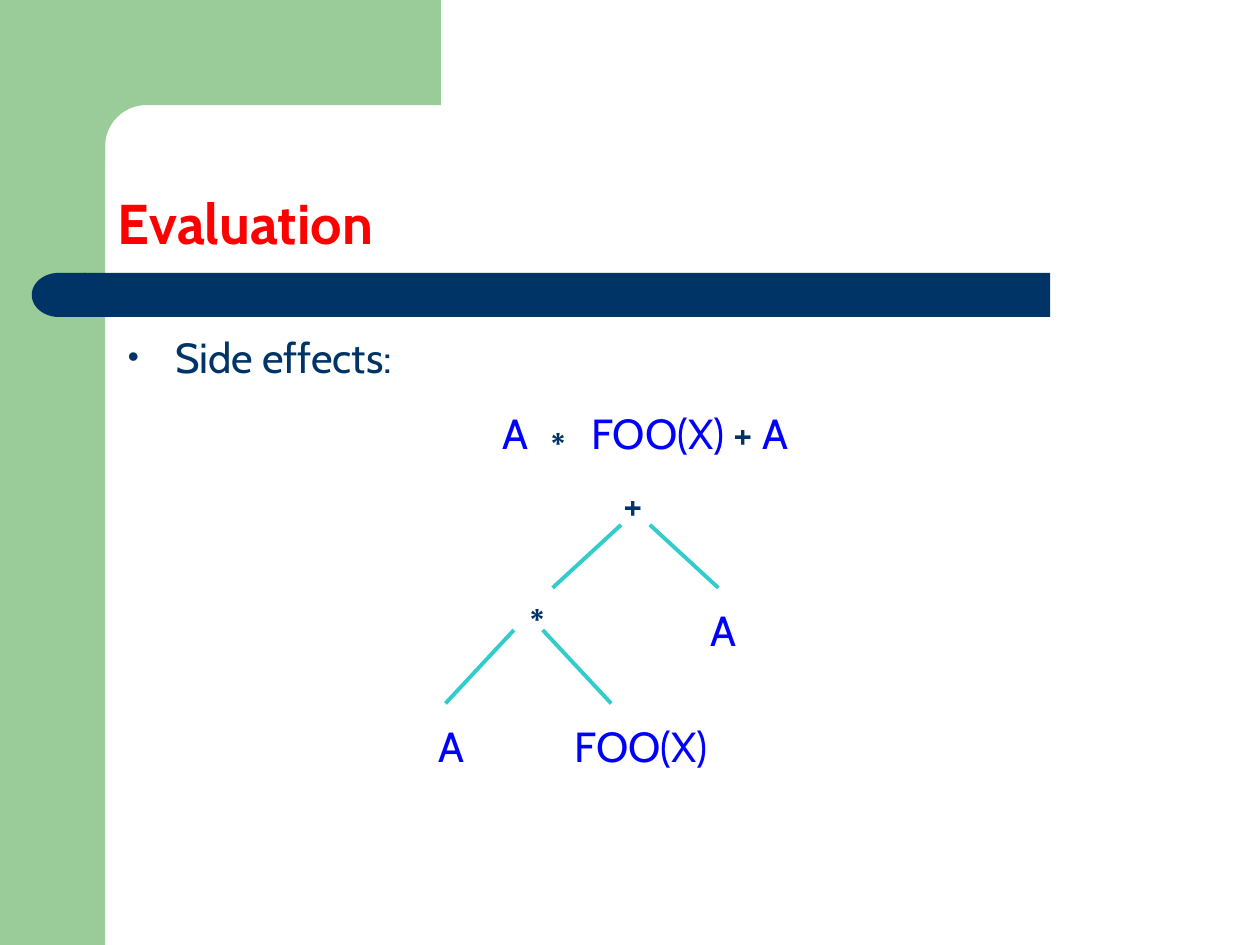
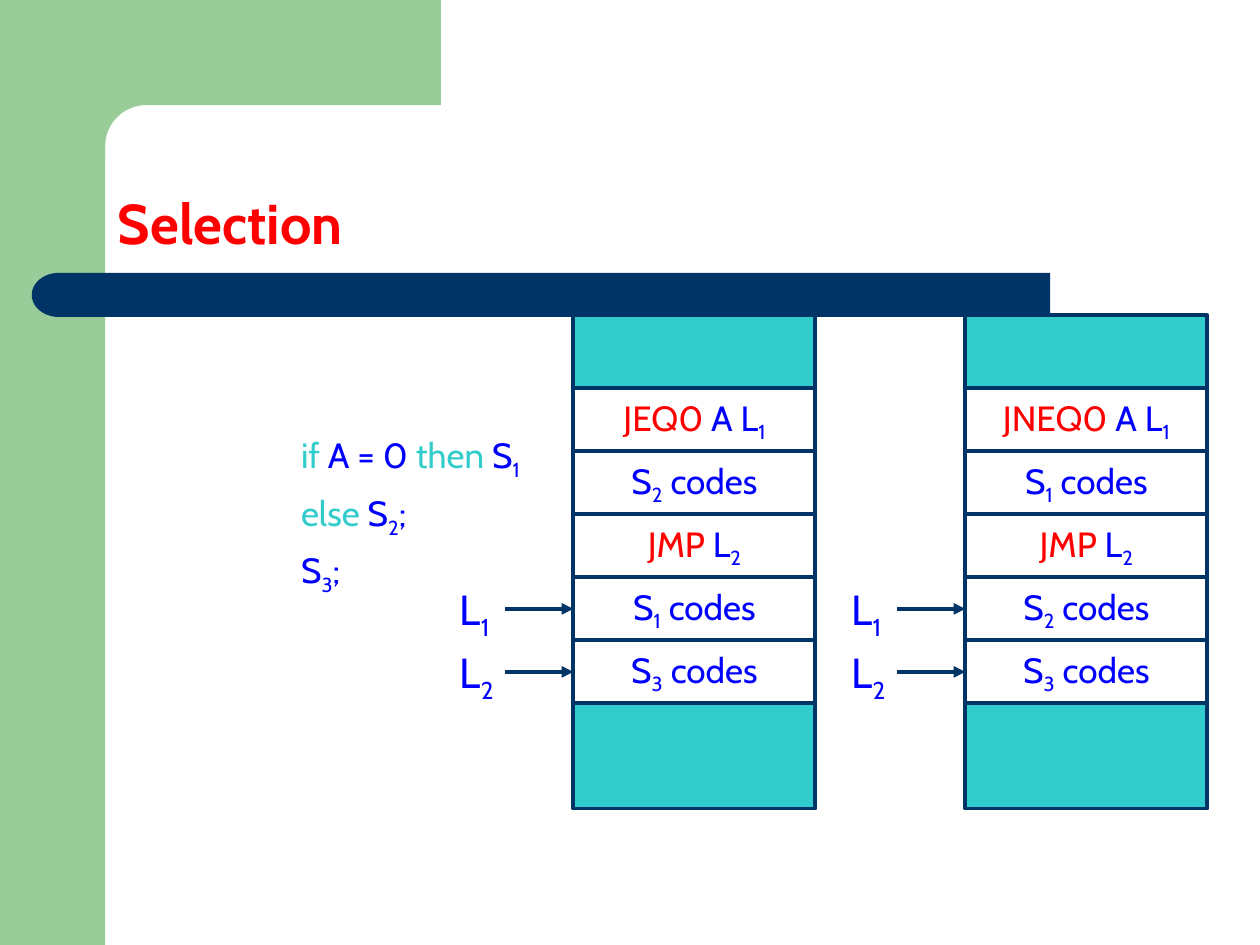
from dataclasses import dataclass
from math import cos, pi, sin

from lxml.etree import SubElement
from pptx import Presentation
from pptx.dml.color import RGBColor
from pptx.enum.shapes import MSO_CONNECTOR, MSO_SHAPE
from pptx.enum.text import MSO_ANCHOR, PP_ALIGN
from pptx.oxml.ns import qn
from pptx.util import Cm, Pt


@dataclass(frozen=True)
class Theme:
    green: str = "99CC99"
    navy: str = "003366"
    red: str = "FF0000"
    blue: str = "0000FF"
    teal: str = "33CCCC"
    font: str = "Cabin"
    sign: str = "Arial"
    head: int = 32
    body: int = 24
    code: int = 20
    line: float = 2.25


T = Theme()
STAR = "∗"


# Text
def add_run(para, text, color, size):
    """Write text; the character after each underscore is a subscript."""
    first, *rest = text.split("_")
    parts = [(first, False)]
    for part in rest:
        parts += [(part[0], True), (part[1:], False)]
    for part, low in parts:
        if not part:
            continue
        run = para.add_run()
        run.text = part
        run.font.name = T.sign if STAR in part else T.font
        run.font.size = Pt(size)
        run.font.color.rgb = RGBColor.from_string(color)
        if low:
            run._r.get_or_add_rPr().set("baseline", "-25000")


def add_runs(para, runs, size):
    for text, color in runs:
        add_run(para, text, color, size)


def add_text(slide, x, y, w, h, lines, size):
    """Add a text box; each line is a list of (text, colour) runs."""
    frame = slide.shapes.add_textbox(Cm(x), Cm(y), Cm(w), Cm(h)).text_frame
    frame.word_wrap = True
    for i, runs in enumerate(lines):
        para = frame.add_paragraph() if i else frame.paragraphs[0]
        add_runs(para, runs, size)
    return frame.paragraphs


def add_dot(para, hang, scale):
    """Give a paragraph a round bullet, sized in percent of its text."""
    props = para._p.get_or_add_pPr()
    props.set("marL", str(Cm(hang)))
    props.set("indent", str(-Cm(hang)))
    SubElement(SubElement(props, qn("a:buClr")), qn("a:srgbClr"), val=T.navy)
    SubElement(props, qn("a:buSzPct"), val=str(scale * 1000))
    SubElement(props, qn("a:buFont"), typeface=T.sign)
    SubElement(props, qn("a:buChar"), char="•")


# Shapes and lines
def paint(shape, fill=None, line=None):
    shape.shadow.inherit = False
    if fill:
        shape.fill.solid()
        shape.fill.fore_color.rgb = RGBColor.from_string(fill)
    else:
        shape.fill.background()
    if line:
        shape.line.color.rgb = RGBColor.from_string(line)
        shape.line.width = Pt(T.line)
    else:
        shape.line.fill.background()


def add_box(slide, kind, x, y, w, h, fill=None, line=None):
    shape = slide.shapes.add_shape(kind, Cm(x), Cm(y), Cm(w), Cm(h))
    paint(shape, fill, line)
    return shape


def add_line(slide, start, end, color, arrow=False):
    ends = [Cm(value) for value in (*start, *end)]
    link = slide.shapes.add_connector(MSO_CONNECTOR.STRAIGHT, *ends)
    link.line.color.rgb = RGBColor.from_string(color)
    link.line.width = Pt(T.line)
    if arrow:
        SubElement(link.line._get_or_add_ln(), qn("a:tailEnd"), type="triangle")
    SubElement(link._element.spPr, qn("a:effectLst"))


# Parts shared by both slides
def add_frame(slide):
    add_box(slide, MSO_SHAPE.RECTANGLE, 0, 0, 2.12, 19.05, T.green)

    # Top band with a rounded inner corner
    mid, radius, steps = 2.95, 0.83, 16
    turns = [pi / 2 * i / steps for i in range(steps + 1)]
    arc = [(mid - radius * sin(t), mid - radius * cos(t)) for t in turns]
    points = [(8.89, 2.12), *arc, (2.12, 3.25), (1.27, 3.25), (1.27, 0)]
    path = slide.shapes.build_freeform(Cm(8.89), 0)
    path.add_line_segments([(Cm(x), Cm(y)) for x, y in points])
    paint(path.convert_to_shape(), T.green)

    # Bar under the title, with a round left end
    add_box(slide, MSO_SHAPE.RECTANGLE, 1.7, 5.5, 19.47, 0.89, T.navy)
    cap = add_box(slide, MSO_SHAPE.FLOWCHART_DELAY, 0.64, 5.5, 1.09, 0.89, T.navy)
    cap.rotation = 180


def add_slide(deck, text):
    slide = deck.slides.add_slide(deck.slide_layouts[5])
    add_frame(slide)
    title = slide.shapes.title
    title.left, title.top = Cm(2.12), Cm(2.12)
    title.width, title.height = Cm(22.01), Cm(3.18)
    title.text_frame.vertical_anchor = MSO_ANCHOR.BOTTOM
    para = title.text_frame.paragraphs[0]
    para.alignment = PP_ALIGN.LEFT
    para.line_spacing = 0.9
    add_run(para, text, T.red, T.head)
    para.runs[0].font.bold = True
    return slide


# Evaluation: expression and its tree
def add_tree(slide):
    nodes = [
        ("+", T.navy, 12.32, 9.53, 1),
        (STAR, T.navy, 10.16, 11.64, 1),
        ("A", T.blue, 14.08, 12.07, 1),
        ("A", T.blue, 8.6, 14.39, 1),
        ("FOO(X)", T.blue, 11.33, 14.39, 3.48),
    ]
    for text, color, x, y, w in nodes:
        add_text(slide, x, y, w, 1.27, [[(text, color)]], T.body)

    # Two branches fall from each operator, mirrored about its centre
    for mid, top, low in ((12.81, 10.58, 11.85), (10.65, 12.7, 14.18)):
        for side in (-1, 1):
            start = mid + side * 0.29, top
            end = mid + side * 1.67, low
            add_line(slide, start, end, T.teal)


def add_eval(deck):
    slide = add_slide(deck, "Evaluation")
    lines = [
        [("Side effects:", T.navy)],
        [("A ", T.blue), (STAR + " ", T.navy), ("FOO(X)", T.blue),
         (" + ", T.navy), ("A", T.blue)],
    ]
    intro, sum_ = add_text(slide, 2.33, 6.55, 21.36, 3.07, lines, T.body)
    add_dot(intro, 0.95, 75)
    sum_.alignment = PP_ALIGN.CENTER
    sum_.space_before = Pt(15)
    add_tree(slide)


# Selection: source code and two memory layouts
def add_stack(slide, x, rows):
    """Stack code rows between two filled blocks; labels point at rows."""
    top, first, step, last, width = 6.35, 1.48, 1.27, 2.12, 4.88
    kind = MSO_SHAPE.RECTANGLE
    add_box(slide, kind, x, top, width, first, T.teal, T.navy)
    y = top + first
    for label, runs in rows:
        cell = add_box(slide, kind, x, y, width, step, line=T.navy)
        cell.text_frame.vertical_anchor = MSO_ANCHOR.MIDDLE
        para = cell.text_frame.paragraphs[0]
        para.alignment = PP_ALIGN.CENTER
        add_runs(para, runs, T.code)
        if label:
            add_text(slide, x - 2.54, y, 1.55, step, [[(label, T.blue)]], T.body)
            mid = y + step / 2
            add_line(slide, (x - 1.37, mid), (x, mid), T.navy, arrow=True)
        y += step
    add_box(slide, kind, x, y, width, last, T.teal, T.navy)


def add_select(deck):
    slide = add_slide(deck, "Selection")
    code = [
        [("if ", T.teal), ("A = 0", T.blue), (" then ", T.teal), ("S_1", T.blue)],
        [("else", T.teal), (" S_2;", T.blue)],
        [("S_3;", T.blue)],
    ]
    for para in add_text(slide, 5.82, 8.42, 5.7, 3.7, code, T.code):
        para.line_spacing = Pt(32.9)

    # Each layout tests A, then holds both branches and the code after them
    for x, test, near, far in ((11.56, "JEQ0", 2, 1), (19.46, "JNEQ0", 1, 2)):
        add_stack(slide, x, [
            ("", [(test, T.red), (" A L_1", T.blue)]),
            ("", [(f"S_{near} codes", T.blue)]),
            ("", [("JMP", T.red), (" L_2", T.blue)]),
            ("L_1", [(f"S_{far} codes", T.blue)]),
            ("L_2", [("S_3 codes", T.blue)]),
        ])


def main():
    deck = Presentation()
    deck.slide_width, deck.slide_height = Cm(25.4), Cm(19.05)
    add_eval(deck)
    add_select(deck)
    deck.save("out.pptx")


if __name__ == "__main__":
    main()
